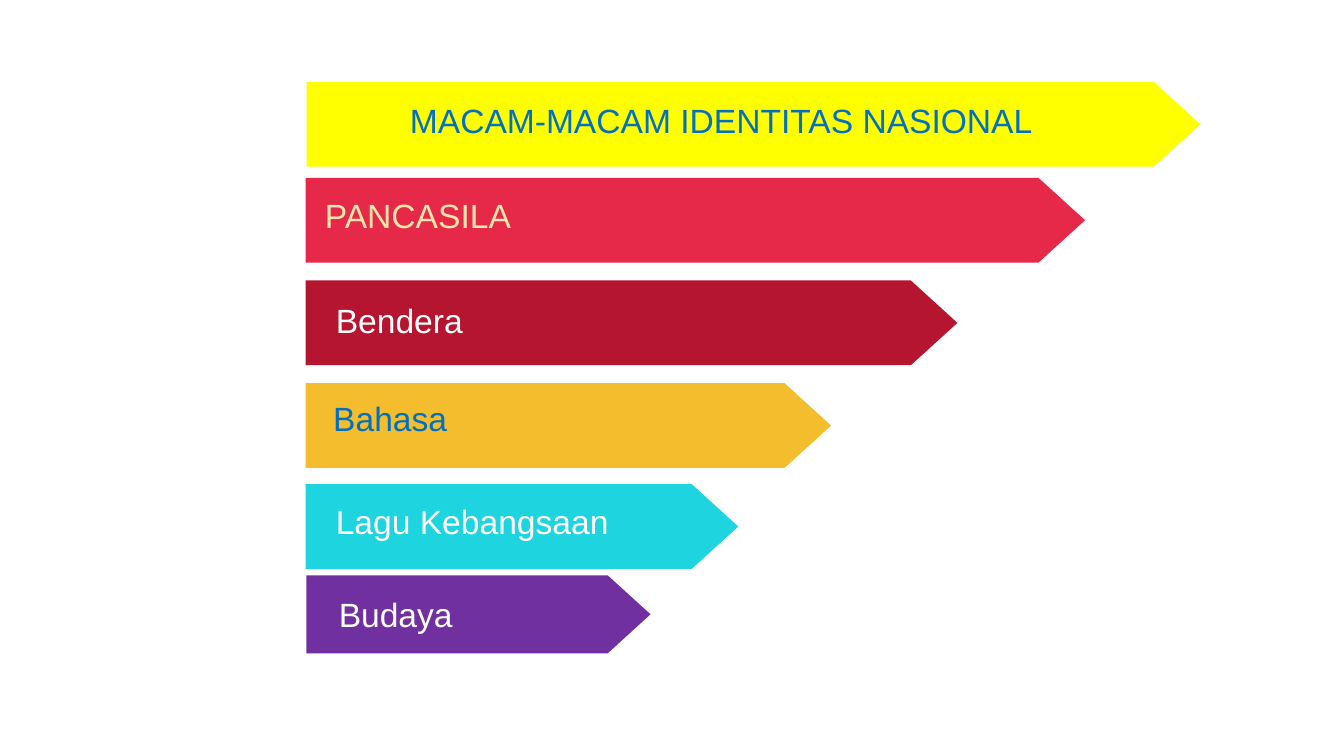
"""Build a slide of stepped arrows listing the kinds of national identity."""
from pptx import Presentation
from pptx.dml.color import RGBColor
from pptx.enum.shapes import MSO_SHAPE
from pptx.enum.text import MSO_ANCHOR, MSO_AUTO_SIZE, PP_ALIGN
from pptx.util import Pt

THEME = {
    "font": "Arial", "size": 18,
    "blue": "0070C0", "white": "FFFFFF", "cream": "FBE5AB",
    "yellow": "FFFF00", "red": "E62949", "crimson": "B61530",
    "gold": "F4BD2D", "cyan": "1ED4DE", "purple": "7030A0",
}
TITLE = "MACAM-MACAM IDENTITAS NASIONAL"
TITLE_ARROW = (164.2, 43.9, 478.8, 45.4)
TITLE_BOX = (212.4, 49.7, 385.2, 29)
LEFT, ARROW_H, LABEL_H, POINT = 163.7, 45.4, 29, 0.549
ROWS = [
    ("PANCASILA", "red", "cream", 95.3, 417.6, (167, 100.8, 145.4)),
    ("Bendera", "crimson", "white", 150.3, 349.2, (172.8, 157, 130.3)),
    ("Bahasa", "gold", "blue", 205.3, 281.5, (171.4, 209.5, 222.5)),
    ("Lagu Kebangsaan", "cyan", "white", 259.4, 231.8, (172.8, 265, 222.5)),
]
LAST = ("Budaya", "purple", "white", (164.2, 308.2, 184.3, 41.8), 17.3)


def color(name):
    return RGBColor.from_string(THEME[name])


def add_arrow(s, box, fill):
    sp = s.shapes.add_shape(MSO_SHAPE.PENTAGON, *map(Pt, box))
    sp.adjustments[0] = POINT
    sp.shadow.inherit = False
    sp.fill.solid()
    sp.fill.fore_color.rgb = color(fill)
    sp.line.fill.background()
    return sp


def write(sp, text, ink, anchor=MSO_ANCHOR.TOP):
    tf = sp.text_frame
    tf.text = text
    tf.word_wrap = True
    tf.auto_size = MSO_AUTO_SIZE.NONE
    tf.vertical_anchor = anchor
    p = tf.paragraphs[0]
    p.alignment = PP_ALIGN.LEFT
    font = p.runs[0].font
    font.name, font.size = THEME["font"], Pt(THEME["size"])
    font.color.rgb = color(ink)


def main():
    prs = Presentation()
    prs.slide_width, prs.slide_height = Pt(720), Pt(405)
    s = prs.slides.add_slide(prs.slide_layouts[5])

    for _, fill, _, top, width, _ in ROWS:
        add_arrow(s, (LEFT, top, width, ARROW_H), fill)

    text, fill, ink, box, inset = LAST
    sp = add_arrow(s, box, fill)
    write(sp, text, ink, MSO_ANCHOR.MIDDLE)
    sp.text_frame.margin_left = Pt(inset)

    add_arrow(s, TITLE_ARROW, "yellow")
    title = s.shapes.title
    title.left, title.top, title.width, title.height = map(Pt, TITLE_BOX)
    write(title, TITLE, "blue")
    title.element.getparent().append(title.element)

    for text, _, ink, _, _, place in ROWS:
        write(s.shapes.add_textbox(*map(Pt, (*place, LABEL_H))), text, ink)

    prs.save("out.pptx")


if __name__ == "__main__":
    main()
